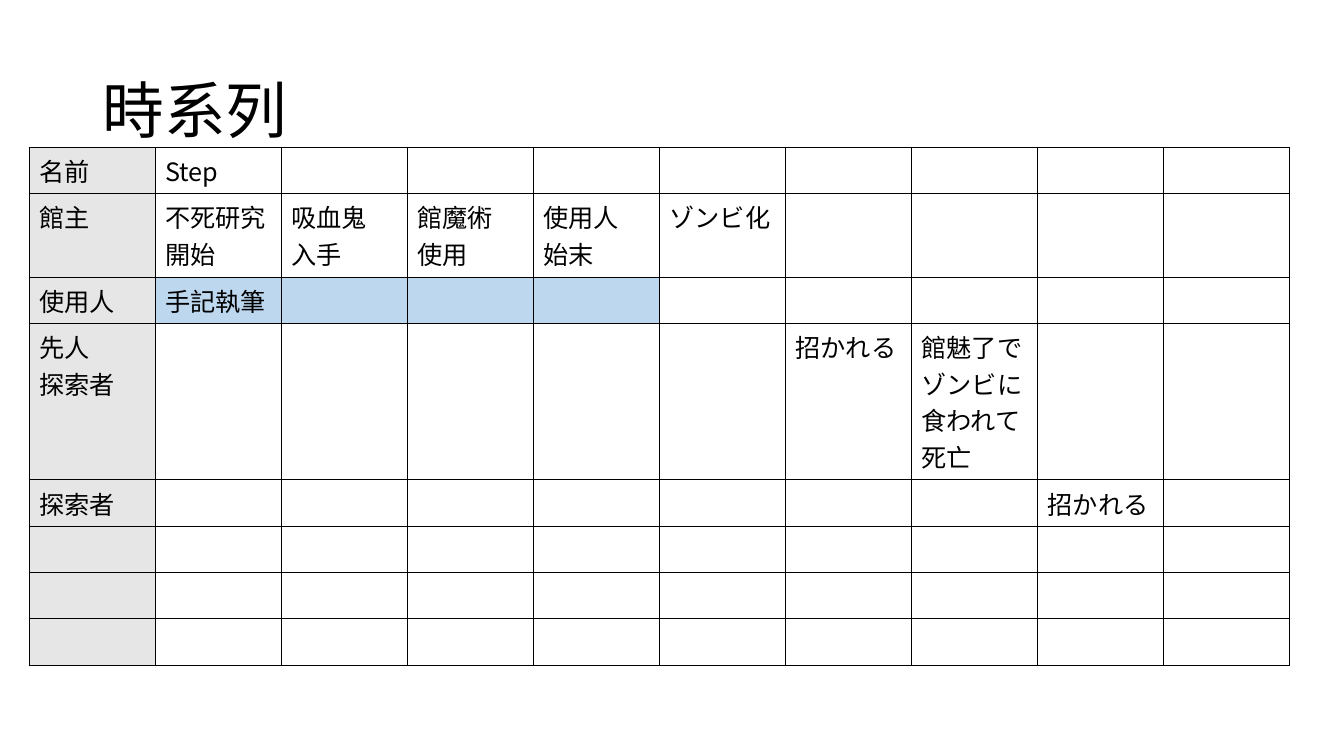
from pptx import Presentation
from pptx.dml.color import RGBColor
from pptx.enum.text import MSO_ANCHOR
from pptx.oxml import parse_xml
from pptx.oxml.ns import nsdecls
from pptx.util import Inches, Pt

FONT = "Noto Sans CJK JP"
BLACK, WHITE, GRAY, BLUE = "000000", "FFFFFF", "E7E6E6", "BDD7EE"
COLUMN_COUNT = 10
COLUMN_WIDTH = 1.25
ONE_LINE, TWO_LINES, FOUR_LINES = 0.46, 0.83, 1.55

# Each row has its height and a map from column number to text.
TIMELINE = [
    (ONE_LINE, {0: "名前", 1: "Step"}),
    (TWO_LINES, {0: "館主", 1: "不死研究開始", 2: "吸血鬼\n入手",
                 3: "館魔術\n使用", 4: "使用人\n始末", 5: "ゾンビ化"}),
    (ONE_LINE, {0: "使用人", 1: "手記執筆"}),
    (FOUR_LINES, {0: "先人\n探索者", 6: "招かれる",
                  7: "館魅了でゾンビに食われて死亡"}),
    (ONE_LINE, {0: "探索者", 8: "招かれる"}),
] + [(ONE_LINE, {})] * 3
HEADER_ROW = 0
SERVANT_ROW = 2
JOURNAL_COLUMNS = range(1, 5)


def rgb(color):
    return RGBColor.from_string(color)


def write_text(text_frame, text, size=18, color=BLACK, line_spacing=None):
    """Write one paragraph; newlines become line breaks inside it."""
    paragraph = text_frame.paragraphs[0]
    paragraph.text = text
    paragraph.line_spacing = line_spacing
    for run in paragraph.runs:
        run.font.size = Pt(size)
        run.font.name = FONT
        run.font.color.rgb = rgb(color)
        run.font._element.append(
            parse_xml(f'<a:ea {nsdecls("a")} typeface="{FONT}"/>'))


def add_title(slide, text):
    box = slide.shapes.add_textbox(
        Inches(0.92), Inches(0.4), Inches(11.5), Inches(1.45))
    box.text_frame.word_wrap = True
    box.text_frame.vertical_anchor = MSO_ANCHOR.MIDDLE
    write_text(box.text_frame, text, size=44, line_spacing=0.9)


def set_borders(cell, color=BLACK, width=1):
    properties = cell._tc.get_or_add_tcPr()
    for side in ("lnL", "lnR", "lnT", "lnB"):
        properties.append(parse_xml(
            f'<a:{side} {nsdecls("a")} w="{Pt(width)}"><a:solidFill>'
            f'<a:srgbClr val="{color}"/></a:solidFill></a:{side}>'))


def cell_color(row, column):
    if column == 0:
        return GRAY
    if row == HEADER_ROW:
        return WHITE
    if row == SERVANT_ROW and column in JOURNAL_COLUMNS:
        return BLUE
    return None


def fill_cell(cell, color):
    if color is None:
        cell.fill.background()
    else:
        cell.fill.solid()
        cell.fill.fore_color.rgb = rgb(color)


def add_timeline(slide):
    table = slide.shapes.add_table(
        len(TIMELINE), COLUMN_COUNT, Inches(0.29), Inches(1.46),
        Inches(COLUMN_WIDTH * COLUMN_COUNT),
        Inches(sum(height for height, _ in TIMELINE))).table
    table.first_row = False
    table.horz_banding = False
    for column in table.columns:
        column.width = Inches(COLUMN_WIDTH)
    for row, (height, texts) in enumerate(TIMELINE):
        table.rows[row].height = Inches(height)
        for column in range(COLUMN_COUNT):
            cell = table.cell(row, column)
            set_borders(cell)
            fill_cell(cell, cell_color(row, column))
            if column in texts:
                write_text(cell.text_frame, texts[column])


def main():
    presentation = Presentation()
    presentation.slide_width = Inches(13.33)
    presentation.slide_height = Inches(7.5)
    slide = presentation.slides.add_slide(presentation.slide_layouts[6])
    add_title(slide, "時系列")
    add_timeline(slide)
    presentation.save("out.pptx")


if __name__ == "__main__":
    main()
